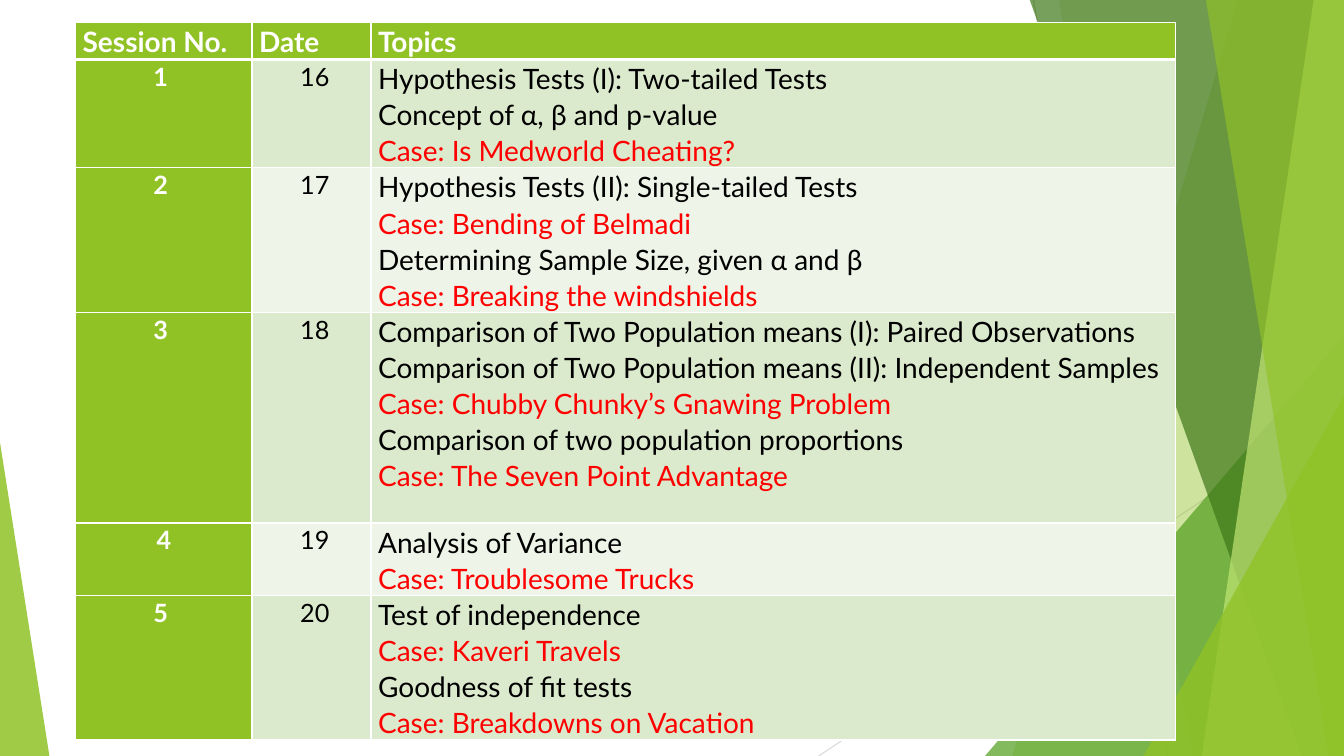
"""Build a slide with a course schedule table over green facets."""
from pptx import Presentation
from pptx.dml.color import RGBColor
from pptx.enum import shapes, text
from pptx.oxml import parse_xml
from pptx.oxml.ns import nsdecls, qn
from pptx.util import Inches, Pt

WHITE = RGBColor(0xFF, 0xFF, 0xFF)
BLACK = RGBColor(0x00, 0x00, 0x00)
RED = RGBColor(0xFF, 0x00, 0x00)
GREEN = RGBColor(0x90, 0xC2, 0x26)
MID_GREEN = RGBColor(0x54, 0xA0, 0x21)
DARK_GREEN = RGBColor(0x3F, 0x78, 0x19)
LIGHT_GREEN = RGBColor(0xC0, 0xE4, 0x74)
BAND_DARK = RGBColor(0xDB, 0xE9, 0xCD)
BAND_LIGHT = RGBColor(0xEE, 0xF4, 0xE8)
GREY = RGBColor(0xBF, 0xBF, 0xBF)
PALE_GREY = RGBColor(0xD9, 0xD9, 0xD9)


def paint(sp, color, opacity):
    sp.shadow.inherit = False
    sp.line.fill.background()
    sp.fill.solid()
    sp.fill.fore_color.rgb = color
    clr = sp._element.spPr.find(qn("a:solidFill"))[0]
    clr.append(parse_xml(f'<a:alpha {nsdecls("a")} val="{opacity * 1000}"/>'))


def write_cell(cell, lines, size, fill, bottom=1, bold=False, color=BLACK, align=None):
    cell.margin_left = cell.margin_right = Inches(0.07)
    cell.margin_top = cell.margin_bottom = 0
    cell.text_frame.text = "\n".join(lines)
    for p in cell.text_frame.paragraphs:
        p.alignment = align
        p.line_spacing = 1.07
        p.font.name = "Lato"
        p.font.size = Pt(size)
        p.font.bold = bold
        p.font.color.rgb = RED if p.text.startswith("Case:") else color
    tcPr = cell._tc.get_or_add_tcPr()
    for side, width in (("L", 1), ("R", 1), ("T", 1), ("B", bottom)):
        tcPr.append(parse_xml(
            f'<a:ln{side} {nsdecls("a")} w="{Pt(width)}"><a:solidFill>'
            f'<a:srgbClr val="{WHITE}"/></a:solidFill></a:ln{side}>'))
    cell.fill.solid()
    cell.fill.fore_color.rgb = fill


prs = Presentation()
prs.slide_width, prs.slide_height = Inches(13.33), Inches(7.5)
s = prs.slides.add_slide(prs.slide_layouts[6])

for x1, y1, x2, y2, color in ((10.25, 0, 11.58, 7.5, GREY),
                              (13.33, 4.03, 8.12, 7.5, PALE_GREY)):
    line = s.shapes.add_connector(shapes.MSO_CONNECTOR.STRAIGHT, Inches(x1), Inches(y1),
                                  Inches(x2), Inches(y2))
    line.line.color.rgb = color
    line.line.width = Pt(0.75)
    line._element.spPr.append(parse_xml(f'<a:effectLst {nsdecls("a")}/>'))

# Each entry: kind, geometry, colour, opacity
facets = [
    ("band", (12.28, 10.04), GREEN, 30),
    ("band", (10.5, 11.83), GREEN, 20),
    ("triangle", (9.77, 3.33, 3.56, 4.17, 1), MID_GREEN, 72),
    ("band", (10.21, 12.91), DARK_GREEN, 70),
    ("band", (13.03, 11.92), LIGHT_GREEN, 70),
    ("band", (11.96, 13.18), GREEN, 65),
    ("triangle", (11.34, 3.93, 1.99, 3.57, 1), GREEN, 80),
    ("triangle", (0, 4.39, 0.49, 3.11, 0), GREEN, 85),
]
for kind, geometry, color, opacity in facets:
    if kind == "band":
        top_x, bottom_x = geometry
        fb = s.shapes.build_freeform(Inches(top_x), Inches(-0.01))
        fb.add_line_segments([(Inches(x), Inches(y)) for x, y in
                              ((13.33, -0.01), (13.33, 7.5), (bottom_x, 7.5))])
        sp = fb.convert_to_shape()
    else:
        *box, apex = geometry
        sp = s.shapes.add_shape(shapes.MSO_SHAPE.ISOSCELES_TRIANGLE, *map(Inches, box))
        sp.adjustments[0] = apex
    paint(sp, color, opacity)

sessions = [
    ("1 ", " 16", ["Hypothesis Tests (I): Two-tailed Tests",
                   "Concept of α, β and p-value",
                   "Case: Is Medworld Cheating?"]),
    ("2 ", " 17", ["Hypothesis Tests (II): Single-tailed Tests",
                   "Case: Bending of Belmadi",
                   "Determining Sample Size, given α and β",
                   "Case: Breaking the windshields"]),
    ("3 ", " 18", ["Comparison of Two Population means (I): Paired Observations",
                   "Comparison of Two Population means (II): Independent Samples",
                   "Case: Chubby Chunky’s Gnawing Problem",
                   "Comparison of two population proportions",
                   "Case: The Seven Point Advantage"]),
    ("4", " 19", ["Analysis of Variance",
                  "Case: Troublesome Trucks"]),
    ("5 ", " 20", ["Test of independence",
                   "Case: Kaveri Travels",
                   "Goodness of fit tests",
                   "Case: Breakdowns on Vacation"]),
]
tbl = s.shapes.add_table(6, 3, Inches(0.75), Inches(0.22), Inches(10.92), Inches(6.93)).table
tbl.first_row = tbl.horz_banding = False
for col, width in zip(tbl.columns, (1.75, 1.18, 7.98)):
    col.width = Inches(width)
for row, height in zip(tbl.rows, (0.37, 1.07, 1.43, 2.09, 0.72, 1.43)):
    row.height = Inches(height)

for c, title in enumerate(("Session No.", "Date", "Topics")):
    write_cell(tbl.cell(0, c), [title], 20, GREEN, bottom=3, bold=True, color=WHITE)
center = text.PP_ALIGN.CENTER
for r, (number, date, topics) in enumerate(sessions, 1):
    band = BAND_DARK if r % 2 else BAND_LIGHT
    write_cell(tbl.cell(r, 0), [number], 18, GREEN, bold=True, color=WHITE, align=center)
    write_cell(tbl.cell(r, 1), [date], 18, band, align=center)
    write_cell(tbl.cell(r, 2), topics, 20, band)

prs.save("out.pptx")
